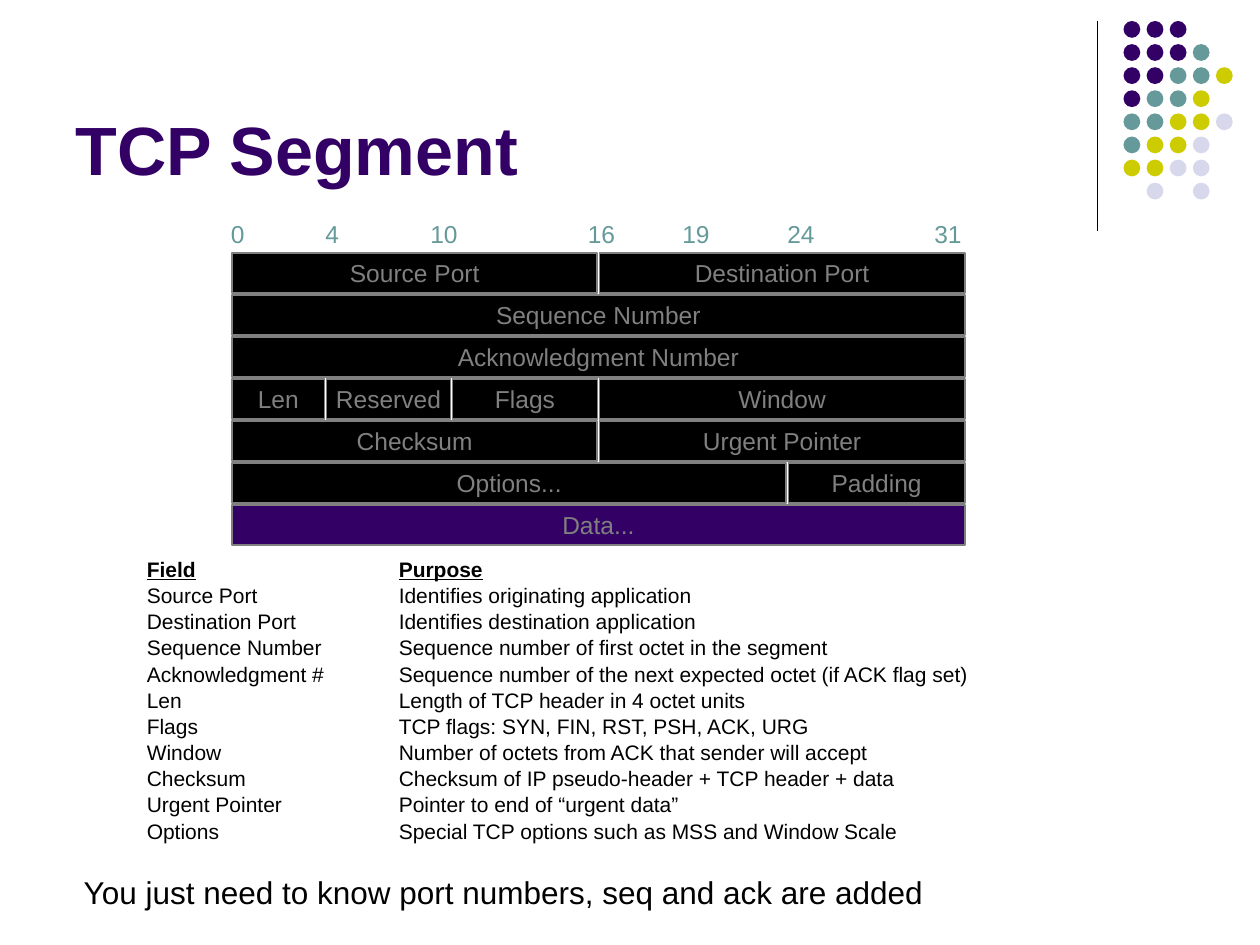
from lxml.etree import SubElement
from pptx import Presentation
from pptx.dml.color import RGBColor
from pptx.enum.shapes import MSO_CONNECTOR as CONN, MSO_SHAPE as SHAPE
from pptx.enum.text import MSO_ANCHOR as ANCHOR, PP_ALIGN as ALIGN
from pptx.oxml.ns import qn
from pptx.util import Inches, Pt

PURPLE, TEAL, LIME, LILAC = "330066", "669999", "CCCC00", "D8D8EC"
BLACK, GREY = "000000", "808080"


def unit(n):
    """Length of n cells on a grid of 120 columns by 90 rows."""
    return Inches(n / 12)


def color(text):
    return RGBColor.from_string(text)


class Deck:
    font = "Arial"

    def __init__(self):
        self.prs = Presentation()
        self.prs.slide_width, self.prs.slide_height = unit(120), unit(90)
        self.slide = self.prs.slides.add_slide(self.prs.slide_layouts[5])

    def style(self, p, size, ink, bold=False, underline=False):
        for r in p.runs:
            f = r.font
            f.name, f.size, f.bold, f.underline = self.font, Pt(size), bold, underline
            f.color.rgb = color(ink)

    def title(self, text, x, y, w, h):
        s = self.slide.shapes.title
        s.left, s.top, s.width, s.height = map(unit, (x, y, w, h))
        tf = s.text_frame
        tf.text, tf.vertical_anchor = text, ANCHOR.BOTTOM
        tf.paragraphs[0].alignment = ALIGN.LEFT
        self.style(tf.paragraphs[0], 39, PURPLE, bold=True)

    def shape(self, kind, x, y, w, h, fill, line=None):
        s = self.slide.shapes.add_shape(kind, *map(unit, (x, y, w, h)))
        s.shadow.inherit = False
        s.fill.solid()
        s.fill.fore_color.rgb = color(fill)
        if line:
            s.line.color.rgb, s.line.width = color(line), Pt(1)
        else:
            s.line.fill.background()
        return s

    def field(self, text, x, y, w, h, fill):
        tf = self.shape(SHAPE.RECTANGLE, x, y, w, h, fill, GREY).text_frame
        tf.text, tf.word_wrap, tf.vertical_anchor = text, False, ANCHOR.MIDDLE
        tf.paragraphs[0].alignment = ALIGN.CENTER
        self.style(tf.paragraphs[0], 14, GREY)

    def text(self, text, x, y, w, h, size, ink=BLACK):
        tf = self.slide.shapes.add_textbox(*map(unit, (x, y, w, h))).text_frame
        tf.text, tf.word_wrap = text, True
        for p in tf.paragraphs:
            self.style(p, size, ink)
        return tf

    def tabbed(self, rows, x, y, w, h, size, stop):
        tf = self.text("\n".join("\t".join(row) for row in rows), x, y, w, h, size)
        for p in tf.paragraphs:
            p.line_spacing = 1.04
            tabs = SubElement(p._p.get_or_add_pPr(), qn("a:tabLst"))
            SubElement(tabs, qn("a:tab"), pos=str(unit(stop)), algn="l")
        self.style(tf.paragraphs[0], size, BLACK, bold=True, underline=True)

    def line(self, x1, y1, x2, y2, ink):
        s = self.slide.shapes.add_connector(CONN.STRAIGHT, *map(unit, (x1, y1, x2, y2)))
        s.line.color.rgb, s.line.width = color(ink), Pt(0.75)
        SubElement(s._element.spPr, qn("a:effectLst"))


# Corner ornament, one letter per dot
DOTS = ["PPP", "PPPT", "PPTTL", "PTTL", "TTLLV", "TLLV", "LLVV", " V V"]
DOT_FILLS = {"P": PURPLE, "T": TEAL, "L": LIME, "V": LILAC}

# Bit labels and the column where each label box starts
BIT_LABELS = {0: 20.8, 4: 29.8, 10: 39.8, 16: 54.8, 19: 63.8, 24: 73.8, 31: 87.8}

# Column where each bit's field begins
EDGES = {0: 22, 4: 31, 10: 43, 16: 57, 24: 75, 32: 92}

# Header rows: (first bit, name) for each field
HEADER = [
    [(0, "Source Port"), (16, "Destination Port")],
    [(0, "Sequence Number")],
    [(0, "Acknowledgment Number")],
    [(0, "Len"), (4, "Reserved"), (10, "Flags"), (16, "Window")],
    [(0, "Checksum"), (16, "Urgent Pointer")],
    [(0, "Options..."), (24, "Padding")],
    [(0, "Data...")],
]

PURPOSES = [
    ("Field", "Purpose"),
    ("Source Port", "Identifies originating application"),
    ("Destination Port", "Identifies destination application"),
    ("Sequence Number", "Sequence number of first octet in the segment"),
    ("Acknowledgment #", "Sequence number of the next expected octet (if ACK flag set)"),
    ("Len", "Length of TCP header in 4 octet units"),
    ("Flags", "TCP flags: SYN, FIN, RST, PSH, ACK, URG"),
    ("Window", "Number of octets from ACK that sender will accept"),
    ("Checksum", "Checksum of IP pseudo-header + TCP header + data"),
    ("Urgent Pointer", "Pointer to end of “urgent data”"),
    ("Options", "Special TCP options such as MSS and Window Scale"),
]


def main():
    deck = Deck()

    # Ornament and title
    deck.line(104.5, 2, 104.5, 22, BLACK)
    for row, dots in enumerate(DOTS):
        for col, dot in enumerate(dots):
            if dot in DOT_FILLS:
                deck.shape(SHAPE.OVAL, 107 + 2.2 * col, 2 + 2.2 * row, 1.6, 1.6, DOT_FILLS[dot])
    deck.title("TCP Segment", 6, 1.6, 99, 17)

    # Segment diagram
    for bit, x in BIT_LABELS.items():
        deck.text(str(bit), x, 20.3, 5.2, 4, 14, TEAL)
    for row, fields in enumerate(HEADER):
        fill = PURPLE if row == len(HEADER) - 1 else BLACK
        ends = [bit for bit, _ in fields[1:]] + [32]
        for (start, name), end in zip(fields, ends):
            width = EDGES[end] - EDGES[start] - 0.2
            deck.field(name, EDGES[start] + 0.1, 24.1 + 4 * row, width, 3.8, fill)

    # Field purposes and closing remark
    deck.tabbed(PURPOSES, 12.8, 52.3, 82, 27.6, 12, stop=24)
    deck.text("You just need to know port numbers, seq and ack are added", 6.8, 82.6, 109.4, 6, 18)

    deck.prs.save("out.pptx")


if __name__ == "__main__":
    main()
